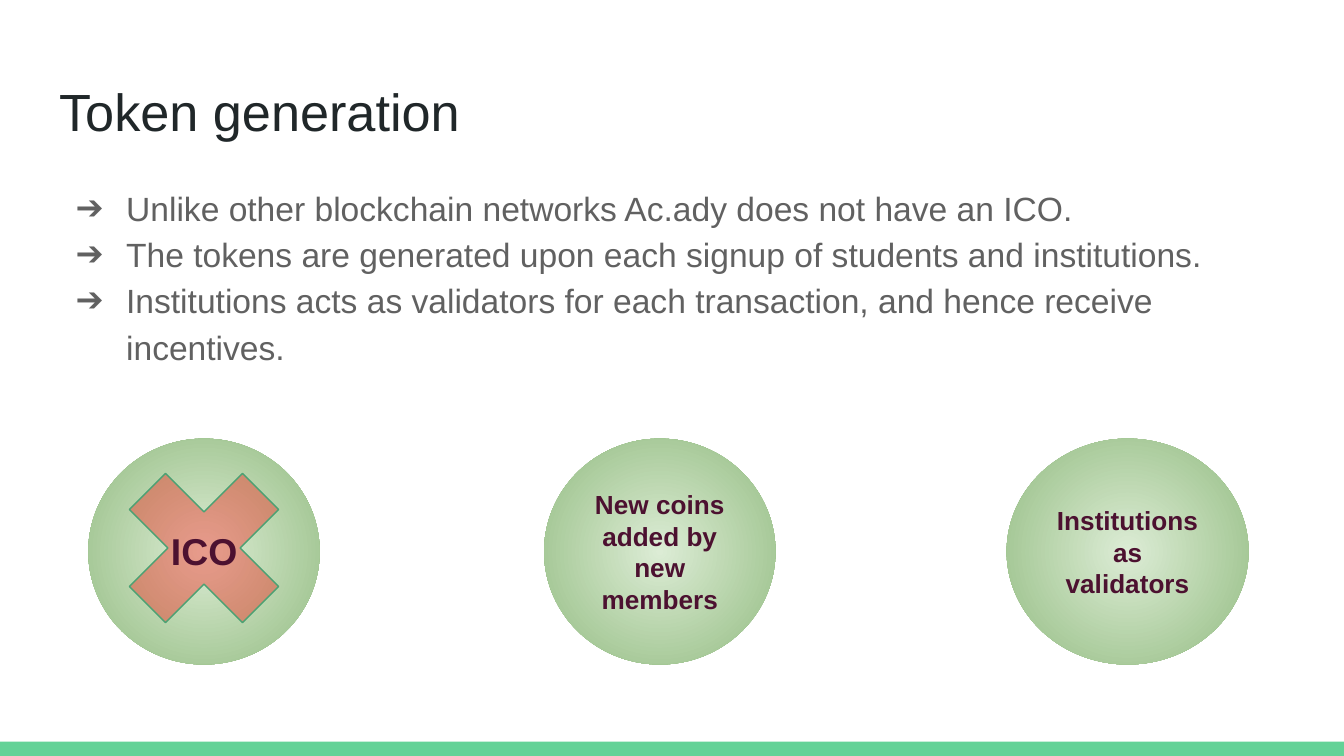
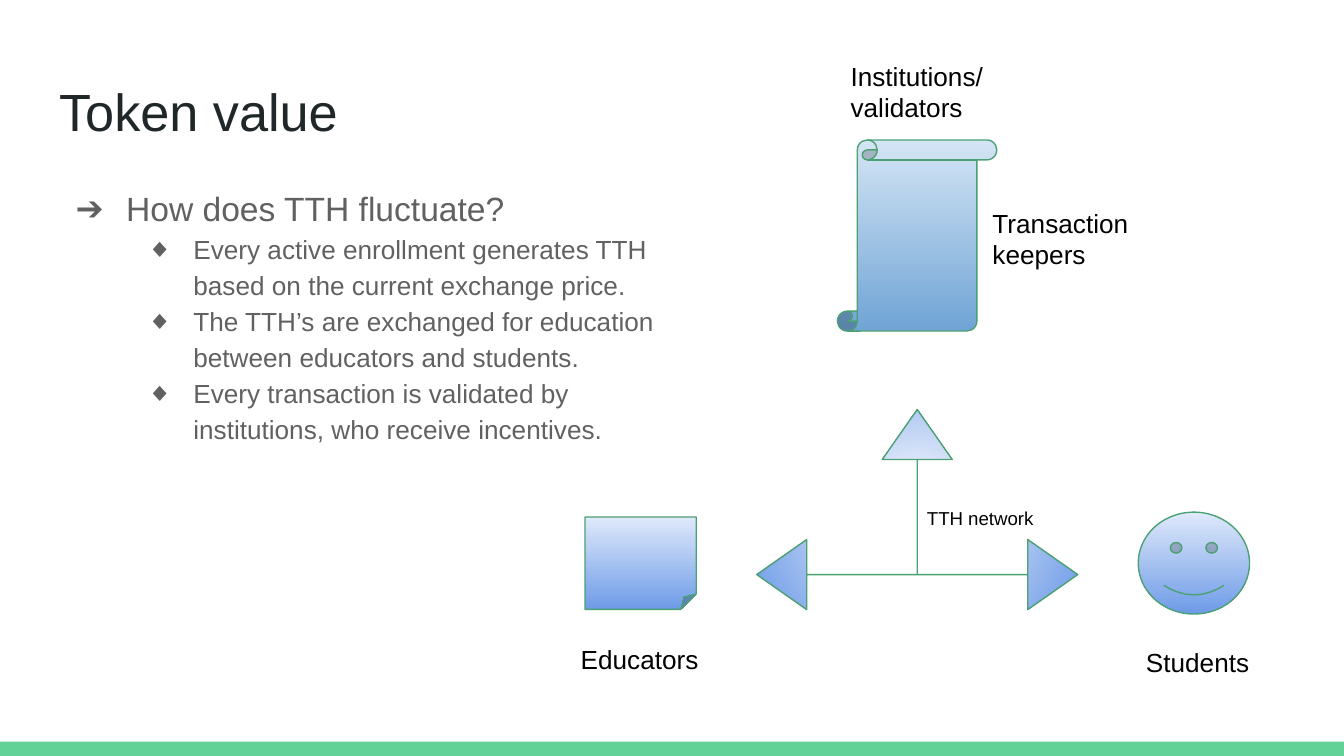
from dataclasses import dataclass

from lxml import etree
from pptx import Presentation
from pptx.dml.color import RGBColor
from pptx.enum.shapes import MSO_SHAPE
from pptx.enum.text import MSO_ANCHOR, PP_ALIGN
from pptx.oxml.ns import qn
from pptx.util import Pt

OVAL, CROSS = MSO_SHAPE.OVAL, MSO_SHAPE.MATH_MULTIPLY
RECTANGLE, SCROLL = MSO_SHAPE.RECTANGLE, MSO_SHAPE.VERTICAL_SCROLL
SMILEY, NOTE = MSO_SHAPE.SMILEY_FACE, MSO_SHAPE.FOLDED_CORNER
THREE_WAY_ARROW = MSO_SHAPE.LEFT_RIGHT_UP_ARROW
TOP, MIDDLE = MSO_ANCHOR.TOP, MSO_ANCHOR.MIDDLE
LEFT, CENTER = PP_ALIGN.LEFT, PP_ALIGN.CENTER
TITLE_ONLY = 5


@dataclass(frozen=True)
class Theme:
    font: str = "Arial"
    # Type sizes
    title_size: float = 28
    body_size: float = 18
    detail_size: float = 14
    small_size: float = 10
    stamp_size: float = 20
    # Colours
    title: str = "202729"
    body: str = "616161"
    label: str = "000000"
    plum: str = "4C1130"
    band: str = "63D297"
    outline: str = "4BA173"
    cross: str = "FF0000"
    # Gradients, first to last stop
    green: tuple = ("DCECD5", "93BC81")
    sky: tuple = ("D4E5F5", "70A4D5")
    blue: tuple = ("DFE9FB", "6E9BE7")
    white_blue: tuple = ("FFFFFF", "6E9BE7")
    # Geometry in points
    width: float = 720
    height: float = 405
    band_top: float = 397.3
    margin: float = 24.5
    inset: float = 7.2
    outline_width: float = 0.75


THEME = Theme()

# Bullet character, left margin, hanging indent and type size by level
BULLETS = (
    ("➔", 36, 27, THEME.body_size),
    ("◆", 72, 25, THEME.detail_size),
)


def rgb(colour):
    return RGBColor.from_string(colour)


def points(box):
    return [Pt(length) for length in box]


def format_frame(frame, anchor=TOP):
    frame.word_wrap = True
    frame.vertical_anchor = anchor
    frame.margin_left = frame.margin_right = Pt(THEME.inset)
    frame.margin_top = frame.margin_bottom = Pt(THEME.inset)


def format_paragraph(paragraph, size, colour, bold=False, align=LEFT):
    paragraph.alignment = align
    for run in paragraph.runs:
        run.font.name = THEME.font
        run.font.size = Pt(size)
        run.font.bold = bold
        run.font.color.rgb = rgb(colour)


def set_text(shape, text, size, colour, bold=False, align=LEFT, anchor=TOP):
    frame = shape.text_frame
    format_frame(frame, anchor)
    frame.text = text
    format_paragraph(frame.paragraphs[0], size, colour, bold, align)


def add_figure(slide, kind, box, outlined=True):
    figure = slide.shapes.add_shape(kind, *points(box))
    figure.shadow.inherit = False
    if outlined:
        figure.line.color.rgb = rgb(THEME.outline)
        figure.line.width = Pt(THEME.outline_width)
    else:
        figure.line.fill.background()
    return figure


def fill_solid(figure, colour, opacity=100):
    figure.fill.solid()
    figure.fill.fore_color.rgb = rgb(colour)
    if opacity < 100:
        tint = figure.element.spPr.find(qn("a:solidFill")).find(qn("a:srgbClr"))
        etree.SubElement(tint, qn("a:alpha"), val=str(opacity * 1000))


def fill_gradient(figure, colours, radial=False):
    figure.fill.gradient()
    for stop, position, colour in zip(figure.fill.gradient_stops, (0, 1), colours):
        stop.position = position
        stop.color.rgb = rgb(colour)
    figure.fill.gradient_angle = 270  # top to bottom
    if radial:
        gradient = figure.element.spPr.find(qn("a:gradFill"))
        gradient.remove(gradient.find(qn("a:lin")))
        circle = etree.SubElement(gradient, qn("a:path"), path="circle")
        centre = {side: "50000" for side in "ltrb"}
        etree.SubElement(circle, qn("a:fillToRect"), centre)


def add_label(slide, text, box, size=THEME.detail_size, colour=THEME.label, **style):
    label = slide.shapes.add_textbox(*points(box))
    set_text(label, text, size, colour, **style)


def add_bullets(slide, items, box):
    frame = slide.shapes.add_textbox(*points(box)).text_frame
    format_frame(frame)
    for index, (level, text) in enumerate(items):
        character, margin, hanging, size = BULLETS[level]
        paragraph = frame.add_paragraph() if index else frame.paragraphs[0]
        paragraph.text = text
        paragraph.level = level
        paragraph.line_spacing = 1.15
        format_paragraph(paragraph, size, THEME.body)
        # Bullet mark and hanging indent
        properties = paragraph._p.get_or_add_pPr()
        properties.set("marL", str(Pt(margin)))
        properties.set("indent", str(-Pt(hanging)))
        mark_colour = etree.SubElement(properties, qn("a:buClr"))
        etree.SubElement(mark_colour, qn("a:srgbClr"), val=THEME.body)
        etree.SubElement(properties, qn("a:buFont"), typeface=THEME.font)
        etree.SubElement(properties, qn("a:buChar"), char=character)


def add_titled_slide(deck, title):
    slide = deck.slides.add_slide(deck.slide_layouts[TITLE_ONLY])
    heading = slide.shapes.title
    heading.left, heading.top, heading.width, heading.height = points(
        (THEME.margin, 35.3, THEME.width - 2 * THEME.margin, 45.4))
    set_text(heading, title, THEME.title_size, THEME.title)
    # Bottom band
    band_box = (0, THEME.band_top, THEME.width, THEME.height - THEME.band_top)
    fill_solid(add_figure(slide, RECTANGLE, band_box, outlined=False), THEME.band)
    return slide


def build_token_generation(deck):
    slide = add_titled_slide(deck, "Token generation")
    add_bullets(slide, (
        (0, "Unlike other blockchain networks Ac.ady does not have an ICO."),
        (0, "The tokens are generated upon each signup of students and institutions."),
        (0, "Institutions acts as validators for each transaction, and hence receive incentives."),
    ), (THEME.margin, 90, THEME.width - 2 * THEME.margin, 269))

    # Three principles
    for left, width, principle in (
        (47.3, 124, ""),
        (291.5, 124, "New coins added by new members"),
        (539.3, 129.6, "Institutions as validators"),
    ):
        disc = add_figure(slide, OVAL, (left, 235, width, 121), outlined=False)
        fill_gradient(disc, THEME.green, radial=True)
        if principle:
            set_text(disc, principle, THEME.detail_size, THEME.plum,
                     bold=True, align=CENTER, anchor=MIDDLE)

    # Crossed-out ICO
    cross = add_figure(slide, CROSS, (51, 235.3, 116.6, 116.6))
    fill_solid(cross, THEME.cross, opacity=34)
    add_label(slide, "ICO", (63.4, 258.5, 92, 73), THEME.stamp_size, THEME.plum,
              bold=True, align=CENTER, anchor=MIDDLE)


def build_token_value(deck):
    slide = add_titled_slide(deck, "Token value")
    add_bullets(slide, (
        (0, "How does TTH fluctuate?"),
        (1, "Every active enrollment generates TTH based on the current exchange price."),
        (1, "The TTH’s are exchanged for education between educators and students."),
        (1, "Every transaction is validated by institutions, who receive incentives."),
    ), (THEME.margin, 90.5, 342, 269))

    # Institutions, students and educators
    for kind, box, colours in (
        (SCROLL, (448.6, 75, 85.4, 102.4), THEME.sky),
        (SMILEY, (609.8, 274.4, 59.6, 54.6), THEME.blue),
        (NOTE, (313.4, 277, 59.6, 49.5), THEME.blue),
    ):
        fill_gradient(add_figure(slide, kind, box), colours)

    # Network between them: hairline shaft, head half-width, head length
    network = add_figure(slide, THREE_WAY_ARROW, (405.4, 219.4, 172, 107.2))
    for index, proportion in enumerate((0, 0.175, 0.25)):
        network.adjustments[index] = proportion
    fill_gradient(network, THEME.white_blue, radial=True)

    # Labels
    for text, box in (
        ("Institutions/ validators", (448.6, 25.2, 108, 49.7)),
        ("Educators", (304, 337.7, 85, 26)),
        ("Students", (606.8, 339.2, 74, 26)),
        ("Transaction keepers", (524.6, 103.8, 136, 45.4)),
    ):
        add_label(slide, text, box)
    add_label(slide, "TTH network", (489.5, 265.7, 74, 26), THEME.small_size)


def main():
    deck = Presentation()
    deck.slide_width, deck.slide_height = Pt(THEME.width), Pt(THEME.height)
    build_token_generation(deck)
    build_token_value(deck)
    deck.save("out.pptx")


if __name__ == "__main__":
    main()
